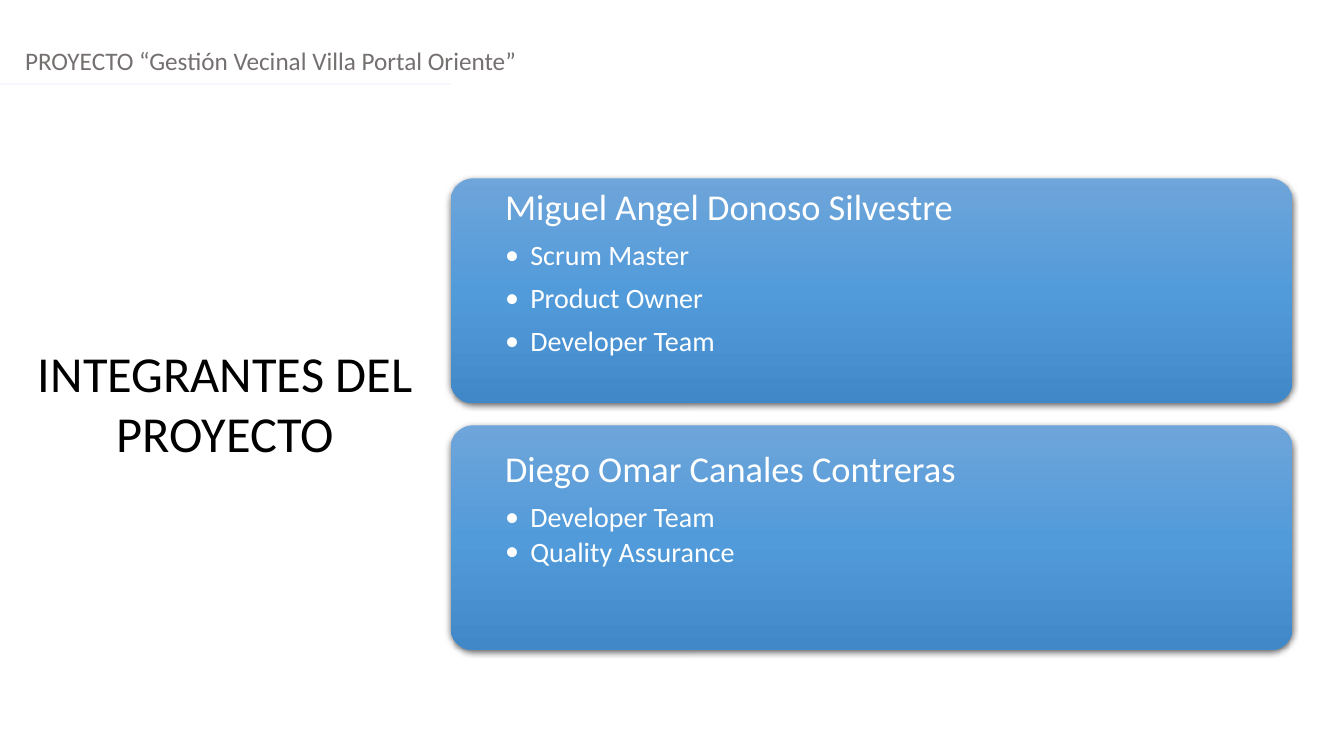
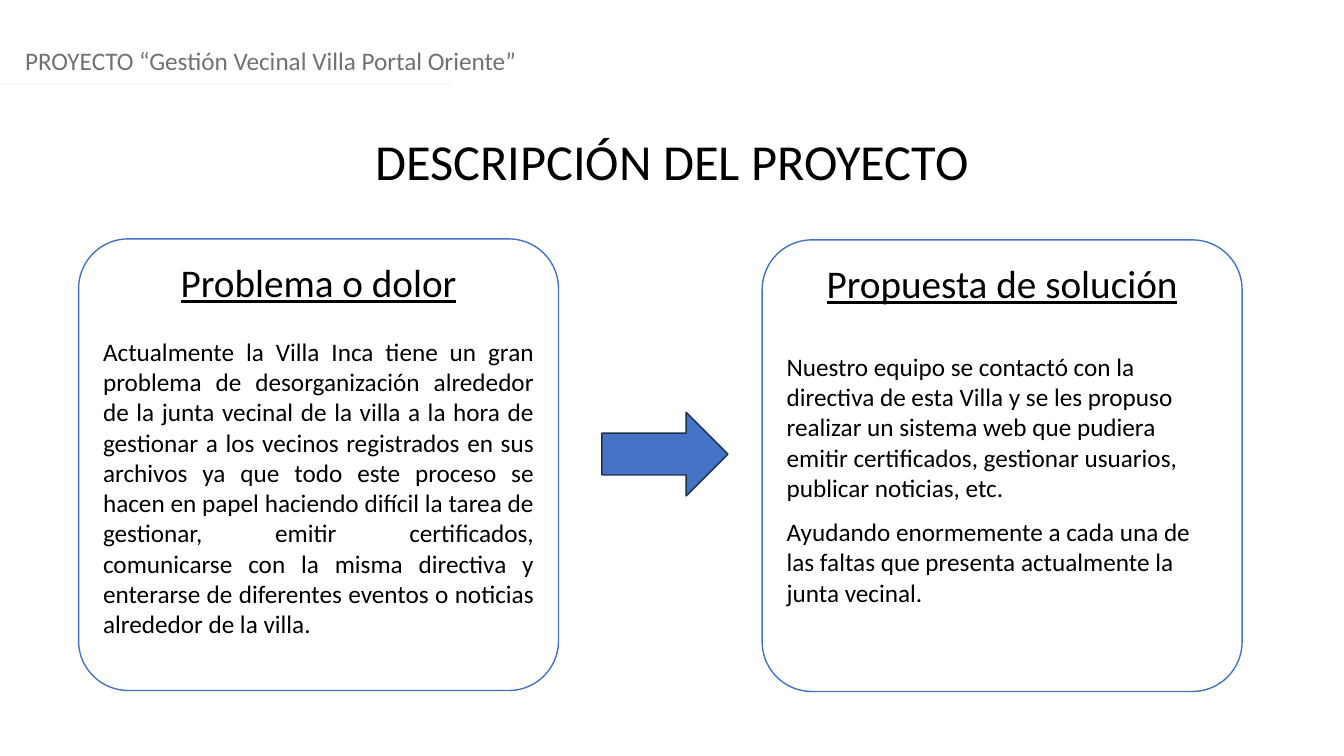
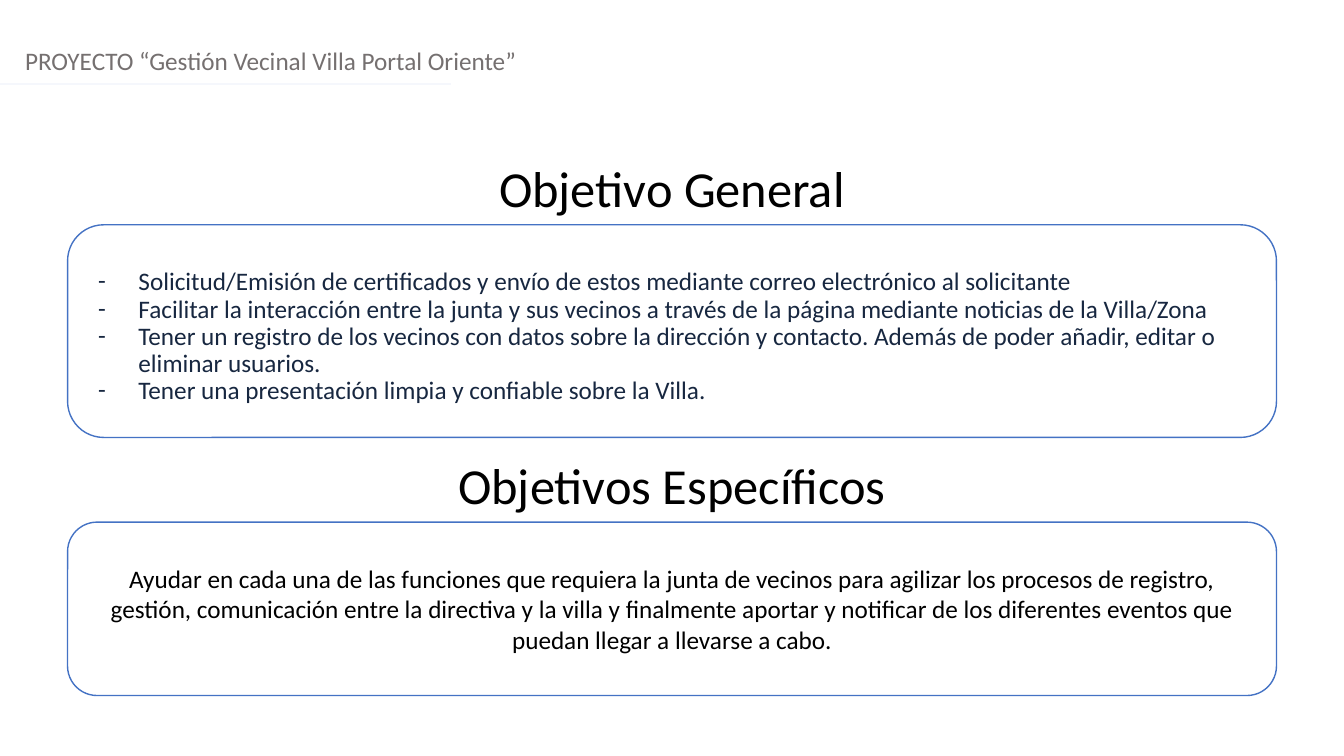
from lxml import etree
from pptx import Presentation, util as u
from pptx.dml.color import RGBColor
from pptx.enum import shapes, text
from pptx.oxml.ns import qn

# Shared style
FONT = "Calibri"
WHITE = RGBColor(0xFF, 0xFF, 0xFF)
BLACK = RGBColor(0, 0, 0)
GREY = RGBColor(0x75, 0x70, 0x70)
NAVY = RGBColor(0x17, 0x27, 0x40)
BLUE = RGBColor(0x44, 0x72, 0xC4)
ARROW_EDGE = RGBColor(0x1C, 0x30, 0x52)
RULE = RGBColor(0xF5, 0xF7, 0xFC)
CARD_STOPS = [
    (0, RGBColor(0x6E, 0xA5, 0xDA)),
    (50, RGBColor(0x52, 0x9B, 0xDA)),
    (100, RGBColor(0x41, 0x88, 0xC8)),
]
WIDTH, HEIGHT = 13.33, 7.5
PROJECT = "PROYECTO “Gestión Vecinal Villa Portal Oriente”"
LEFT, CENTER, JUSTIFY = (text.PP_ALIGN.LEFT, text.PP_ALIGN.CENTER,
                         text.PP_ALIGN.JUSTIFY)
TOP, MIDDLE = text.MSO_ANCHOR.TOP, text.MSO_ANCHOR.MIDDLE


def sub(parent, tag, **attrs):
    return etree.SubElement(parent, qn(tag), attrs)


def inches(box):
    return [u.Inches(v) for v in box]


# Text helpers
def set_frame(tf, anchor=TOP, side=0.1, top=0.05, bottom=0.05):
    tf.word_wrap = True
    tf.vertical_anchor = anchor
    tf.margin_left = tf.margin_right = u.Inches(side)
    tf.margin_top, tf.margin_bottom = u.Inches(top), u.Inches(bottom)
    return tf


def add_par(tf, words, size=18, color=BLACK, align=LEFT, before=0,
            spacing=1.0, underline=False, bullet=None, indent=0, hang=0):
    first = tf.paragraphs[0]
    p = tf.add_paragraph() if first.runs else first
    p.alignment = align
    p.line_spacing = spacing
    p.space_before = u.Pt(before)
    r = p.add_run()
    r.text = words
    r.font.name, r.font.size = FONT, u.Pt(size)
    r.font.color.rgb = color
    r.font.underline = underline
    if bullet:
        ppr = p._p.get_or_add_pPr()
        ppr.set("marL", str(u.Inches(indent)))
        ppr.set("indent", str(-u.Inches(hang)))
        sub(ppr, "a:buFont", typeface=FONT)
        sub(ppr, "a:buChar", char=bullet)


def add_label(s, box, words, **style):
    tf = set_frame(s.shapes.add_textbox(*inches(box)).text_frame)
    add_par(tf, words, **style)


def add_title(s, box, words):
    add_label(s, box, words, size=36, align=CENTER)


# Shape helpers
def add_panel(s, box, radius, **frame):
    """White rounded panel with a blue outline; returns its text frame."""
    sp = s.shapes.add_shape(shapes.MSO_SHAPE.ROUNDED_RECTANGLE, *inches(box))
    sp.adjustments[0] = radius
    sp.shadow.inherit = False
    sp.fill.solid()
    sp.fill.fore_color.rgb = WHITE
    sp.line.color.rgb, sp.line.width = BLUE, u.Pt(1)
    return set_frame(sp.text_frame, **frame)


def add_card(s, box):
    """Rounded card with a vertical gradient and a soft shadow."""
    sp = s.shapes.add_shape(shapes.MSO_SHAPE.ROUNDED_RECTANGLE, *inches(box))
    sp.adjustments[0] = 0.1
    props = sp._element.spPr
    grad = sub(props, "a:gradFill", rotWithShape="1")
    stops = sub(grad, "a:gsLst")
    for pos, color in CARD_STOPS:
        stop = sub(stops, "a:gs", pos=str(pos * 1000))
        sub(stop, "a:srgbClr", val=str(color))
    sub(grad, "a:lin", ang="5400000", scaled="0")
    sp.line.fill.background()
    sp.shadow.inherit = False
    shadow = sub(props.find(qn("a:effectLst")), "a:outerShdw",
                 blurRad=str(u.Pt(4.5)), dist=str(u.Pt(1.5)),
                 dir="5400000", algn="ctr", rotWithShape="0")
    sub(sub(shadow, "a:srgbClr", val=str(BLACK)), "a:alpha", val="63000")


def add_arrow(s, box):
    sp = s.shapes.add_shape(shapes.MSO_SHAPE.RIGHT_ARROW, *inches(box))
    sp.shadow.inherit = False
    sp.fill.solid()
    sp.fill.fore_color.rgb = BLUE
    sp.line.color.rgb, sp.line.width = ARROW_EDGE, u.Pt(1)


def new_slide(prs):
    """Blank slide with the project header and its rule."""
    s = prs.slides.add_slide(prs.slide_layouts[6])
    add_label(s, (0.15, 0.4, WIDTH - 0.3, 0.4), PROJECT, color=GREY)
    line = s.shapes.add_connector(shapes.MSO_CONNECTOR.STRAIGHT,
                                  *inches((0, 0.83, 4.47, 0.83)))
    line.line.color.rgb, line.line.width = RULE, u.Pt(1.25)
    sub(line._element.spPr, "a:effectLst")
    return s


# Slide 1: team members
def member_card(s, box, name, roles, text_drop, role_gap):
    x, y, w, h = box
    add_card(s, box)
    tb = s.shapes.add_textbox(*inches((x + 0.43, y + text_drop, 6.53, h)))
    tf = set_frame(tb.text_frame, side=0.11, top=0.11, bottom=0.11)
    add_par(tf, name, size=26, color=WHITE, spacing=0.9)
    for i, role in enumerate(roles):
        add_par(tf, role, size=20, color=WHITE, spacing=0.9,
                before=role_gap if i else 9.1,
                bullet="•", indent=0.25, hang=0.25)


def team_slide(prs):
    s = new_slide(prs)
    add_title(s, (0.26, 3.34, 3.95, 1.31), "INTEGRANTES DEL PROYECTO")
    members = [
        ("Miguel Angel Donoso Silvestre",
         ["Scrum Master", "Product Owner", "Developer Team"], 0, 9.1),
        ("Diego Omar Canales Contreras",
         ["Developer Team", "Quality Assurance"], 0.15, 3),
    ]
    for i, member in enumerate(members):
        member_card(s, (4.47, 1.77 + i * 2.45, 8.35, 2.23), *member)


# Slide 2: problem and proposal
def topic_panel(s, box, heading, body, align, first_gap):
    tf = add_panel(s, box, 0.11)
    add_par(tf, heading, size=28, align=CENTER, underline=True)
    for i, words in enumerate(body):
        add_par(tf, words, align=align, before=10 if i else first_gap)


def description_slide(prs):
    s = new_slide(prs)
    add_title(s, (0, 1.24, WIDTH, 0.71), "DESCRIPCIÓN DEL PROYECTO")
    topic_panel(s, (0.78, 2.37, 4.76, 4.48), "Problema o dolor", [
        "Actualmente la Villa Inca tiene un gran problema de desorganización "
        "alrededor de la junta vecinal de la villa a la hora de gestionar a "
        "los vecinos registrados en sus archivos ya que todo este proceso se "
        "hacen en papel haciendo difícil la tarea de gestionar, emitir "
        "certificados, comunicarse con la misma directiva y enterarse de "
        "diferentes eventos o noticias alrededor de la villa.",
    ], JUSTIFY, 22)
    topic_panel(s, (7.56, 2.38, 4.76, 4.48), "Propuesta de solución", [
        "Nuestro equipo se contactó con la directiva de esta Villa y se les "
        "propuso realizar un sistema web que pudiera emitir certificados, "
        "gestionar usuarios, publicar noticias, etc.",
        "Ayudando enormemente a cada una de las faltas que presenta "
        "actualmente la junta vecinal.",
    ], LEFT, 32)
    add_arrow(s, (5.97, 4.09, 1.25, 0.83))


# Slide 3: objectives
def objective_section(s, y, height, title, **frame):
    """Title with a full-width panel below it; returns the text frame."""
    add_title(s, (0, y, WIDTH, 0.71), title)
    return add_panel(s, (0.67, y + 0.72, 11.99, height), 0.17,
                     anchor=MIDDLE, **frame)


def objectives_slide(prs):
    s = new_slide(prs)
    tf = objective_section(s, 1.51, 2.11, "Objetivo General", top=0.17)
    for goal in [
        "Solicitud/Emisión de certificados y envío de estos mediante correo "
        "electrónico al solicitante",
        "Facilitar la interacción entre la junta y sus vecinos a través de la "
        "página mediante noticias de la Villa/Zona",
        "Tener un registro de los vecinos con datos sobre la dirección y "
        "contacto. Además de poder añadir, editar o eliminar usuarios.",
        "Tener una presentación limpia y confiable sobre la Villa.",
    ]:
        add_par(tf, goal, color=NAVY, spacing=0.9,
                bullet="-", indent=0.5, hang=0.4)
    tf = objective_section(s, 4.46, 1.72, "Objetivos Específicos")
    add_par(tf, "Ayudar en cada una de las funciones que requiera la junta de "
                "vecinos para agilizar los procesos de registro, gestión, "
                "comunicación entre la directiva y la villa y finalmente "
                "aportar y notificar de los diferentes eventos que puedan "
                "llegar a llevarse a cabo.", align=CENTER)


def main():
    prs = Presentation()
    prs.slide_width, prs.slide_height = u.Inches(WIDTH), u.Inches(HEIGHT)
    team_slide(prs)
    description_slide(prs)
    objectives_slide(prs)
    prs.save("out.pptx")


if __name__ == "__main__":
    main()
